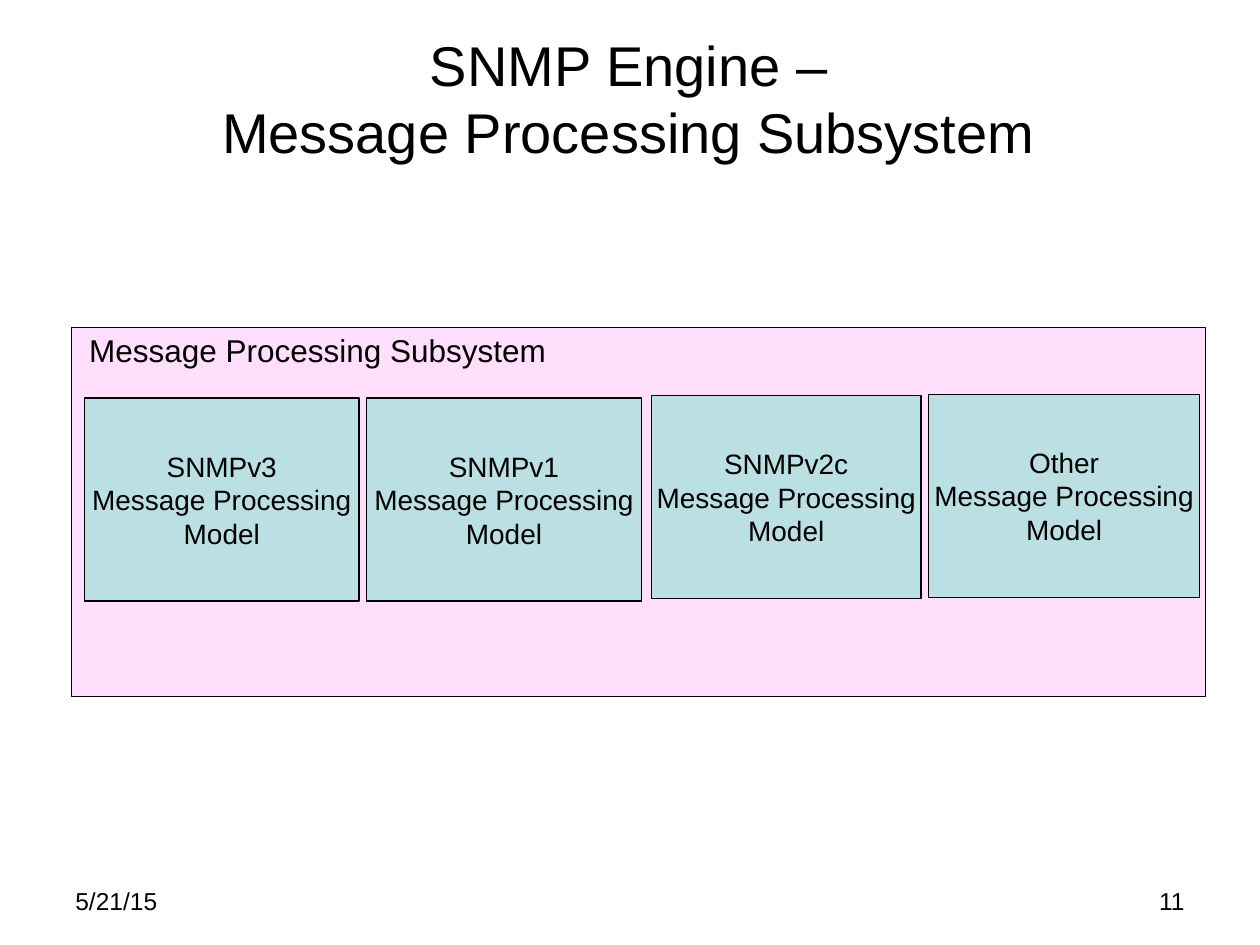
from pptx import Presentation
from pptx.dml.color import RGBColor
from pptx.enum.shapes import MSO_SHAPE as Shape
from pptx.enum.text import MSO_ANCHOR as Anchor, MSO_AUTO_SIZE as AutoSize, PP_ALIGN as Align
from pptx.util import Inches, Pt

BLACK, PINK, TEAL = "000000", "FFDFFC", "BBE0E3"

deck = Presentation()
deck.slide_width, deck.slide_height = Inches(10), Inches(7.5)
page = deck.slides.add_slide(deck.slide_layouts[5])


def write(shape, text, size, align=Align.LEFT, anchor=Anchor.TOP, wrap=True):
    frame = shape.text_frame
    frame.text = text
    frame.word_wrap = wrap
    frame.auto_size = AutoSize.NONE
    frame.vertical_anchor = anchor
    for para in frame.paragraphs:
        para.alignment = align
        para.font.name = "Arial"
        para.font.size = Pt(size)
        para.font.color.rgb = RGBColor.from_string(BLACK)


def add_block(left, top, width, height, fill):
    block = page.shapes.add_shape(Shape.RECTANGLE, *map(Inches, (left, top, width, height)))
    block.shadow.inherit = False
    block.fill.solid()
    block.fill.fore_color.rgb = RGBColor.from_string(fill)
    block.line.color.rgb = RGBColor.from_string(BLACK)
    block.line.width = Pt(0.75)
    return block


# Title
title = page.shapes.title
title.left, title.top, title.width, title.height = map(Inches, (0.49, 0.15, 9, 1.25))
write(title, "SNMP Engine –\vMessage Processing Subsystem", 32, Align.CENTER, Anchor.MIDDLE)

# Subsystem frame with one block per message processing model
add_block(0.57, 2.6, 9, 2.93, PINK)
models = [
    ("SNMPv3", 0.67, 3.16, 2.18),
    ("SNMPv1", 2.91, 3.16, 2.18),
    ("SNMPv2c", 5.17, 3.14, 2.14),
    ("Other", 7.37, 3.13, 2.15),
]
for name, left, top, width in models:
    block = add_block(left, top, width, 1.61, TEAL)
    write(block, f"{name}\nMessage Processing\nModel", 16, Align.CENTER, Anchor.MIDDLE, wrap=False)

# Subsystem label, date and page number
labels = [
    ("Message Processing Subsystem", 0.61, 2.58, 3.83, 0.4, 18, Align.LEFT),
    ("5/21/15", 0.5, 6.98, 2.33, 0.52, 14, Align.LEFT),
    ("11", 7.17, 6.98, 2.33, 0.52, 14, Align.RIGHT),
]
for text, left, top, width, height, size, align in labels:
    box = page.shapes.add_textbox(*map(Inches, (left, top, width, height)))
    write(box, text, size, align)

deck.save("out.pptx")
